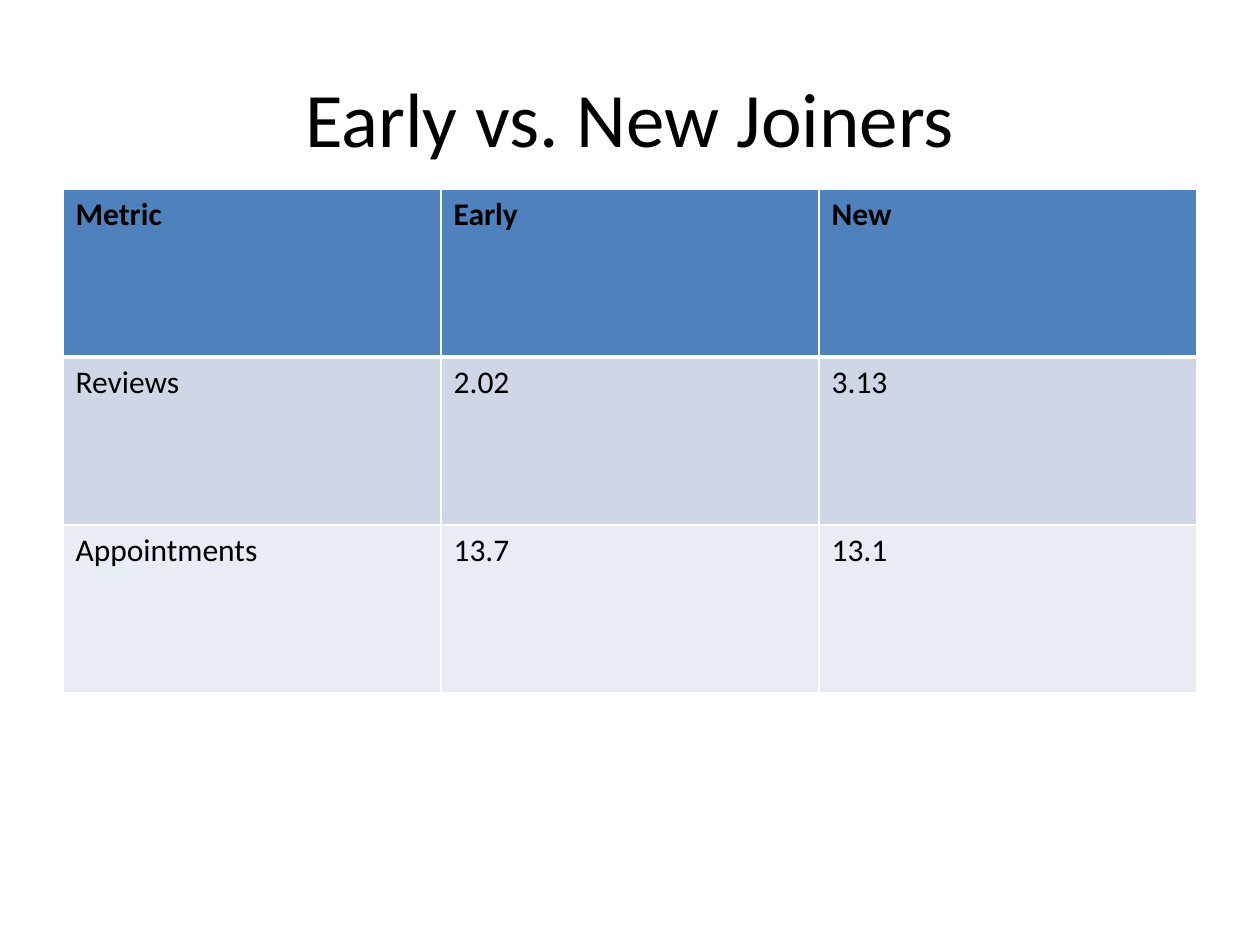
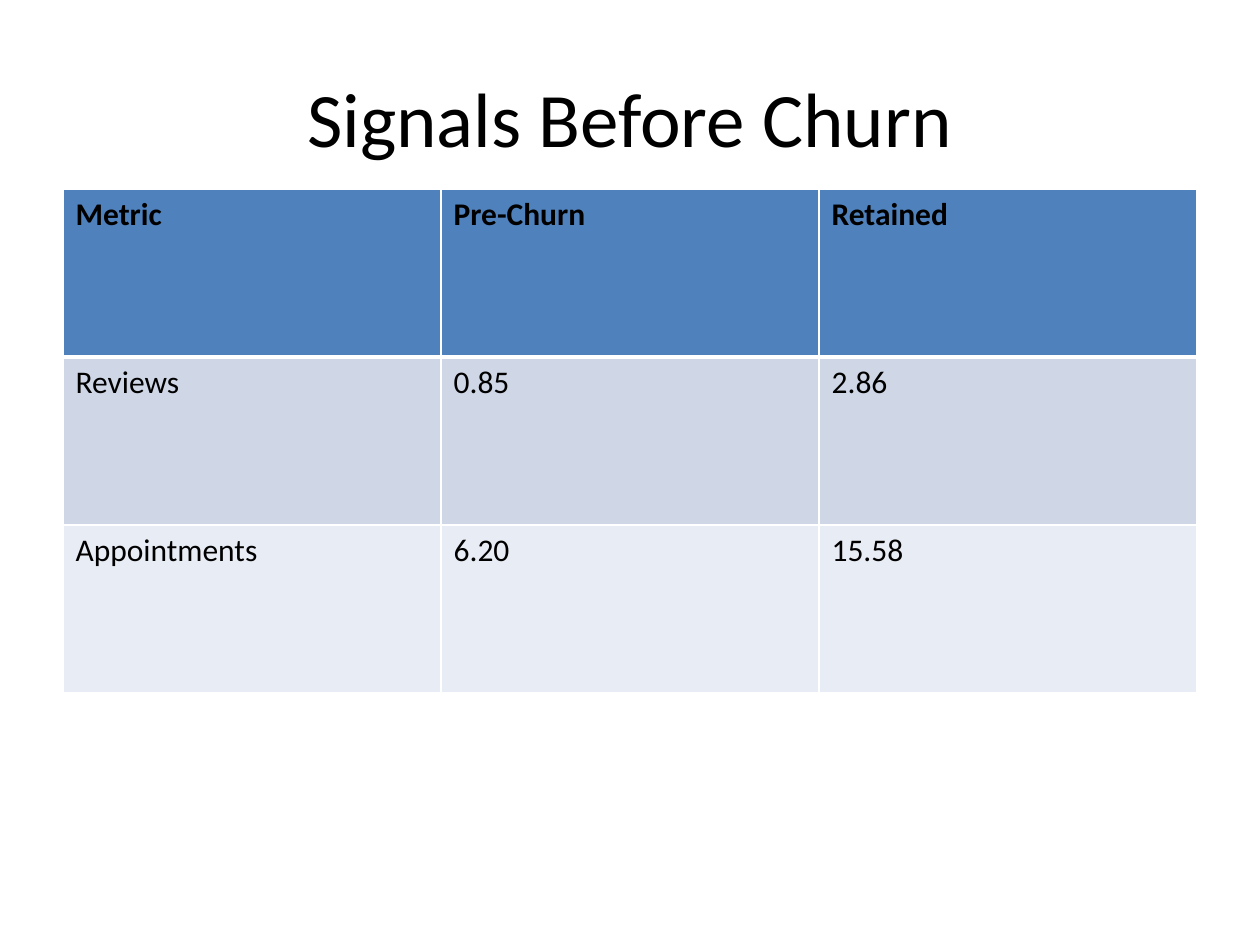
from dataclasses import dataclass

from lxml import etree
from pptx import Presentation
from pptx import util as u
from pptx.dml.color import RGBColor
from pptx.enum import text
from pptx.oxml.ns import qn


@dataclass(frozen=True)
class Theme:
    font: str = "Calibri"
    ink: str = "000000"
    background: str = "FFFFFF"
    border: str = "FFFFFF"
    header_fill: str = "4F81BD"
    band_fills: tuple = ("CFD7E7", "E8ECF4")
    title_size: int = 44
    table_size: int = 18
    border_width: int = 1
    header_rule_width: int = 3


THEME = Theme()
BLANK_LAYOUT = 6
MARGIN = u.Cm(1.27)
CONTENT_WIDTH = u.Cm(22.86)
TITLE_TOP = u.Cm(0.76)
TITLE_HEIGHT = u.Cm(3.18)
TABLE_TOP = u.Cm(3.81)
TABLE_HEIGHT = u.Cm(10.16)

COMPARISONS = [
    ("Early vs. New Joiners", [
        ("Metric", "Early", "New"),
        ("Reviews", "2.02", "3.13"),
        ("Appointments", "13.7", "13.1"),
    ]),
    ("Signals Before Churn", [
        ("Metric", "Pre-Churn", "Retained"),
        ("Reviews", "0.85", "2.86"),
        ("Appointments", "6.20", "15.58"),
    ]),
]


def add_run(paragraph, content, size, bold=False):
    run = paragraph.add_run()
    run.text = content
    run.font.name = THEME.font
    run.font.size = u.Pt(size)
    run.font.bold = bold
    run.font.color.rgb = RGBColor.from_string(THEME.ink)


def add_title(slide, content):
    box = slide.shapes.add_textbox(MARGIN, TITLE_TOP, CONTENT_WIDTH, TITLE_HEIGHT)
    frame = box.text_frame
    frame.word_wrap = True
    frame.vertical_anchor = text.MSO_ANCHOR.MIDDLE
    paragraph = frame.paragraphs[0]
    paragraph.alignment = text.PP_ALIGN.CENTER
    add_run(paragraph, content, THEME.title_size)


def set_borders(cell, top, bottom):
    properties = cell._tc.get_or_add_tcPr()
    side = THEME.border_width
    widths = {"a:lnL": side, "a:lnR": side, "a:lnT": top, "a:lnB": bottom}
    for position, (tag, width) in enumerate(widths.items()):
        line = etree.Element(qn(tag), w=str(u.Pt(width)))
        fill = etree.SubElement(line, qn("a:solidFill"))
        etree.SubElement(fill, qn("a:srgbClr"), val=THEME.border)
        properties.insert(position, line)


def style_cell(cell, content, row_index):
    is_header = row_index == 0
    bands = THEME.band_fills
    color = THEME.header_fill if is_header else bands[(row_index - 1) % len(bands)]
    cell.fill.solid()
    cell.fill.fore_color.rgb = RGBColor.from_string(color)
    set_borders(
        cell,
        top=THEME.header_rule_width if row_index == 1 else THEME.border_width,
        bottom=THEME.header_rule_width if is_header else THEME.border_width,
    )
    add_run(cell.text_frame.paragraphs[0], content, THEME.table_size, bold=is_header)


def add_metric_table(slide, rows):
    table = slide.shapes.add_table(
        len(rows), len(rows[0]), MARGIN, TABLE_TOP, CONTENT_WIDTH, TABLE_HEIGHT
    ).table
    for row_index, row in enumerate(rows):
        for column_index, content in enumerate(row):
            style_cell(table.cell(row_index, column_index), content, row_index)


def add_comparison_slide(presentation, title, rows):
    slide = presentation.slides.add_slide(presentation.slide_layouts[BLANK_LAYOUT])
    background = slide.background.fill
    background.solid()
    background.fore_color.rgb = RGBColor.from_string(THEME.background)
    add_title(slide, title)
    add_metric_table(slide, rows)


def main():
    presentation = Presentation()
    presentation.slide_width = u.Cm(25.4)
    presentation.slide_height = u.Cm(19.05)
    for title, rows in COMPARISONS:
        add_comparison_slide(presentation, title, rows)
    presentation.save("out.pptx")


if __name__ == "__main__":
    main()
